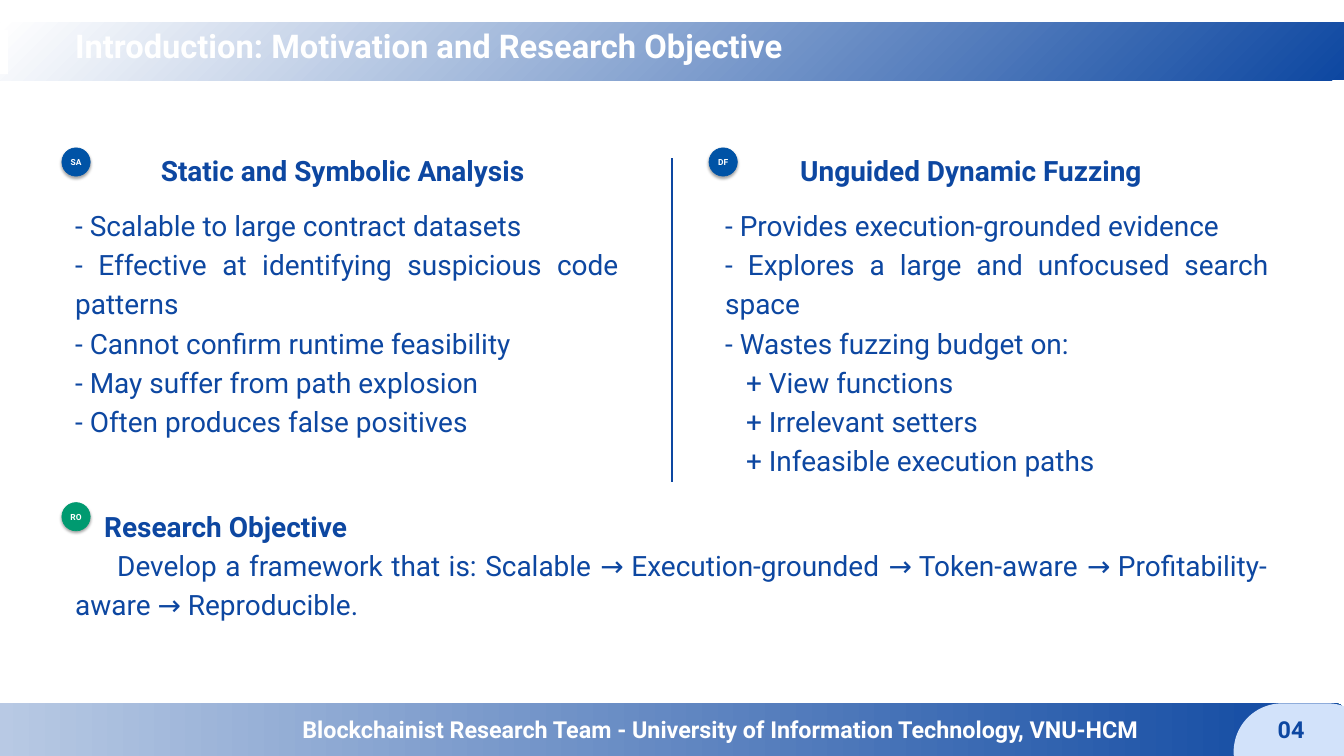
from lxml import etree
from pptx import Presentation
from pptx.dml.color import RGBColor
from pptx.enum.shapes import MSO_CONNECTOR, MSO_SHAPE
from pptx.enum.text import MSO_ANCHOR, PP_ALIGN
from pptx.oxml.ns import qn
from pptx.util import Cm, Pt

NAVY = RGBColor(0x0D, 0x47, 0xA1)
BLUE = RGBColor(0x00, 0x53, 0xA6)
GREEN = RGBColor(0x00, 0x9A, 0x70)
PALE = RGBColor(0xD2, 0xE2, 0xFA)
WHITE = RGBColor(0xFF, 0xFF, 0xFF)

RECTANGLE = MSO_SHAPE.RECTANGLE
ROUNDED = MSO_SHAPE.ROUNDED_RECTANGLE
OVAL = MSO_SHAPE.OVAL
STRAIGHT = MSO_CONNECTOR.STRAIGHT
LEFT, CENTER, JUSTIFY = PP_ALIGN.LEFT, PP_ALIGN.CENTER, PP_ALIGN.JUSTIFY
MIDDLE = MSO_ANCHOR.MIDDLE

TITLE = {"size": Pt(35), "bold": True}
FOOTER = {"size": Pt(25), "bold": True}
HEADING = {"size": Pt(30), "bold": True}
BODY = {"size": Pt(30), "bold": False}
BADGE = {"size": Pt(9), "bold": True}
LINE_RATIO = 1.4


class SlideBuilder:
    """Holds the slide and its text style, and draws each kind of element."""

    font_name = "Roboto"

    def __init__(self, slide):
        self.slide = slide

    def style_font(self, paragraph, style, color):
        for name, value in {"name": self.font_name, **style}.items():
            setattr(paragraph.font, name, value)
        paragraph.font.color.rgb = color

    def shape(self, kind, box, color=None, corner=None):
        shape = self.slide.shapes.add_shape(kind, *map(Cm, box))
        shape.shadow.inherit = False
        shape.line.fill.background()
        if color is not None:
            shape.fill.solid()
            shape.fill.fore_color.rgb = color
        if corner is not None:
            shape.adjustments[0] = corner
        return shape

    def gradient_band(self, kind, box, corner=None, radial=False):
        shape = self.shape(kind, box, corner=corner)
        shape.fill.gradient()
        shape.fill.gradient_angle = 0
        for stop, color in zip(shape.fill.gradient_stops, (WHITE, NAVY)):
            stop.color.rgb = color
        if radial:
            # Spread the colours in circles from the top left corner
            gradient = shape.element.spPr.find(qn("a:gradFill"))
            gradient.remove(gradient.find(qn("a:lin")))
            circle = etree.SubElement(gradient, qn("a:path"), path="circle")
            etree.SubElement(circle, qn("a:fillToRect"), r="100000", b="100000")

    def text(self, box, lines, style, color=NAVY, align=LEFT, indent=0):
        """Write lines; a line may be a (text, left margin in cm) pair."""
        frame = self.slide.shapes.add_textbox(*map(Cm, box)).text_frame
        margins = dict.fromkeys(
            ("margin_left", "margin_top", "margin_right", "margin_bottom"), 0)
        for name, value in {"word_wrap": True, **margins}.items():
            setattr(frame, name, value)
        for index, line in enumerate(lines):
            words, margin = line if isinstance(line, tuple) else (line, 0)
            paragraph = frame.add_paragraph() if index else frame.paragraphs[0]
            paragraph.text = words
            paragraph.alignment = align
            paragraph.line_spacing = Pt(style["size"].pt * LINE_RATIO)
            properties = paragraph._p.get_or_add_pPr()
            properties.set("marL", str(Cm(margin)))
            properties.set("indent", str(Cm(indent)))
            self.style_font(paragraph, style, color)

    def badge(self, left, top, letters, color):
        shape = self.shape(OVAL, (left, top, 1.07, 1.07), color)
        shape.line.color.rgb = color
        shape.line.width = Pt(0.75)
        effects = shape.element.spPr.find(qn("a:effectLst"))
        shadow = etree.SubElement(
            effects, qn("a:outerShdw"), blurRad=str(Pt(3.1)),
            dist=str(Pt(1.8)), dir="5400000", algn="ctr", rotWithShape="0")
        black = etree.SubElement(shadow, qn("a:srgbClr"), val="000000")
        etree.SubElement(black, qn("a:alpha"), val="35000")
        frame = shape.text_frame
        frame.word_wrap = False
        frame.vertical_anchor = MIDDLE
        paragraph = frame.paragraphs[0]
        paragraph.text = letters
        paragraph.alignment = CENTER
        self.style_font(paragraph, BADGE, WHITE)

    def line(self, start, end, color, width):
        connector = self.slide.shapes.add_connector(
            STRAIGHT, *map(Cm, start + end))
        connector.line.color.rgb = color
        connector.line.width = Pt(width)
        etree.SubElement(connector._element.spPr, qn("a:effectLst"))


def main():
    presentation = Presentation()
    presentation.slide_width = Cm(50.8)
    presentation.slide_height = Cm(28.58)
    slide = presentation.slides.add_slide(presentation.slide_layouts[6])
    builder = SlideBuilder(slide)

    # Header and footer bands
    builder.gradient_band(RECTANGLE, (0, 0.86, 50.8, 2.18), radial=True)
    builder.gradient_band(ROUNDED, (-20.8, 26.59, 71.6, 1.98), corner=0.16)
    builder.shape(ROUNDED, (46.63, 26.59, 5.38, 3.66), PALE, corner=0.5)
    builder.shape(RECTANGLE, (-0.3, 1.12, 0.6, 1.68), WHITE)
    builder.text(
        (11.43, 26.85, 35.2, 1.35),
        ["Blockchainist Research Team - University of Information Technology, VNU-HCM"],
        FOOTER, WHITE)
    builder.text((2.84, 0.74, 45.1, 1.96),
                 ["Introduction: Motivation and Research Objective"],
                 TITLE, WHITE)
    builder.text((47.96, 26.87, 1.68, 1.35), ["04"], FOOTER, align=CENTER)

    # Two columns: badge, heading and points
    sub = 0.79
    columns = [
        (2.34, "SA", 3.94, 18.03, "Static and Symbolic Analysis", 2.84, 9.07, [
            "- Scalable to large contract datasets",
            "- Effective at identifying suspicious code patterns",
            "- Cannot confirm runtime feasibility",
            "- May suffer from path explosion",
            "- Often produces false positives",
        ]),
        (26.8, "DF", 27.81, 17.78, "Unguided Dynamic Fuzzing", 27.41, 10.57, [
            "- Provides execution-grounded evidence",
            "- Explores a large and unfocused search space",
            "- Wastes fuzzing budget on:",
            ("+ View functions", sub),
            ("+ Irrelevant setters", sub),
            ("+ Infeasible execution paths", sub),
        ]),
    ]
    for (badge_left, letters, heading_left, heading_width, heading,
         body_left, body_height, points) in columns:
        builder.text((heading_left, 5.59, heading_width, 1.68), [heading],
                     HEADING, align=CENTER)
        builder.text((body_left, 7.67, 20.55, body_height), points,
                     BODY, align=JUSTIFY)
        builder.badge(badge_left, 5.59, letters, BLUE)
    builder.line((25.4, 18.21), (25.4, 5.97), NAVY, 2.25)

    # Research objective
    builder.text((3.94, 19.05, 42.93, 1.68), ["Research Objective"], HEADING)
    builder.text(
        (2.84, 20.52, 45.1, 3.15),
        ["Develop a framework that is: Scalable → Execution-grounded → "
         "Token-aware → Profitability-aware → Reproducible."],
        BODY, align=JUSTIFY, indent=1.59)
    builder.badge(2.34, 19, "RO", GREEN)

    presentation.save("out.pptx")


if __name__ == "__main__":
    main()
